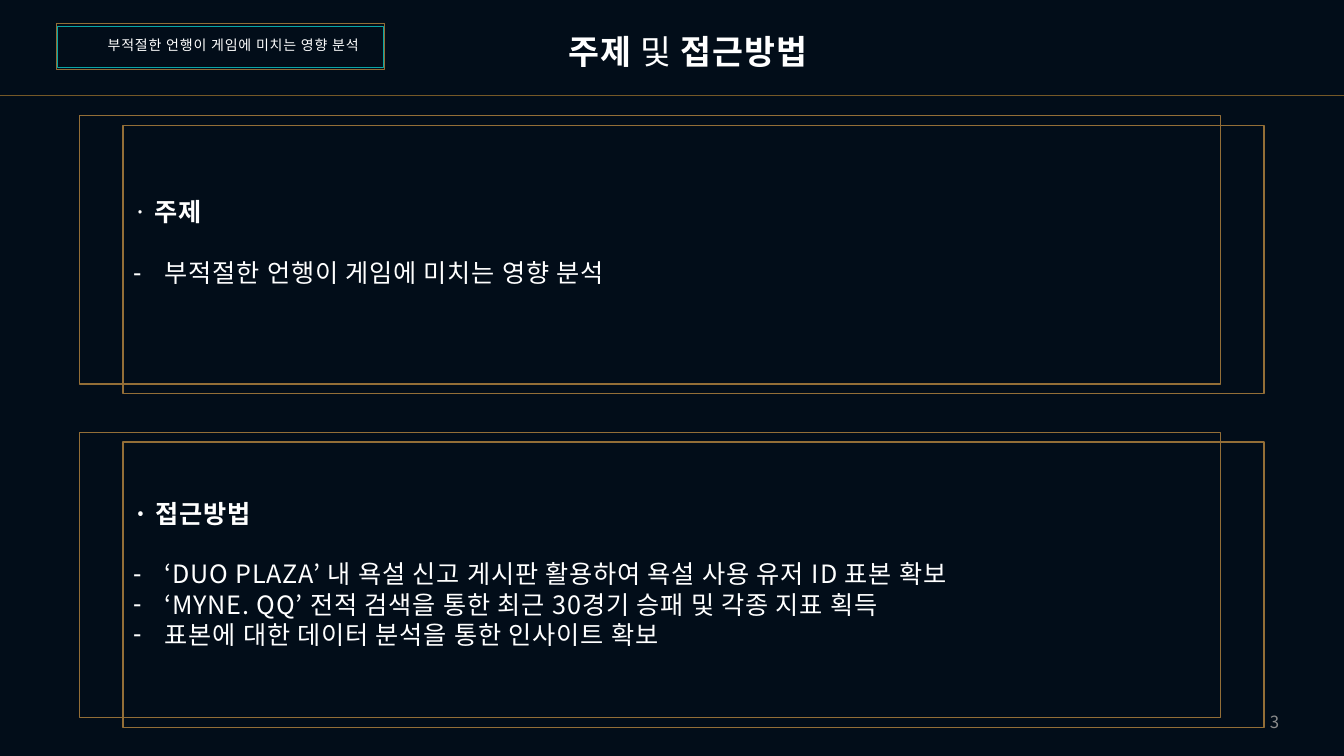
from dataclasses import dataclass

from lxml.etree import SubElement
from pptx import Presentation
from pptx.dml.color import RGBColor
from pptx.enum.shapes import MSO_CONNECTOR, MSO_SHAPE
from pptx.enum.text import MSO_ANCHOR, MSO_AUTO_SIZE, PP_ALIGN
from pptx.oxml.ns import qn
from pptx.util import Pt


@dataclass(frozen=True)
class Theme:
    font: str = "Noto Sans CJK KR"
    background: str = "020D19"
    text: str = "FFFFFF"
    muted: str = "8C8C8C"
    gold: str = "936E37"
    rule: str = "755827"
    teal: str = "09A6A5"
    title: int = 24
    body: int = 18
    page: int = 12
    tag: int = 10
    tracking: int = 60  # hundredths of a point


T = Theme()
TOPIC = "부적절한 언행이 게임에 미치는 영향 분석"


def rgb(value):
    return RGBColor.from_string(value)


def place(sp, x, y, w, h):
    sp.left, sp.top, sp.width, sp.height = Pt(x), Pt(y), Pt(w), Pt(h)


def add_runs(p, runs, size, color=T.text, tracking=T.tracking):
    """Add (text, bold) runs to a paragraph."""
    for text, bold in runs:
        r = p.add_run()
        r.text = text
        r.font.size, r.font.bold = Pt(size), bold
        r.font.color.rgb = rgb(color)
        r.font.name = T.font
        rPr = r.font._element
        SubElement(rPr, qn("a:ea")).set("typeface", T.font)
        if tracking:
            rPr.set("spc", str(tracking))


def add_frame(s, x, y, w, h, color, weight):
    sp = s.shapes.add_shape(MSO_SHAPE.RECTANGLE, Pt(x), Pt(y), Pt(w), Pt(h))
    sp.shadow.inherit = False
    sp.fill.background()
    sp.line.color.rgb = rgb(color)
    sp.line.width = Pt(weight)


def add_label(s, x, y, w, h, text, size, align, anchor, **style):
    tf = s.shapes.add_textbox(Pt(x), Pt(y), Pt(w), Pt(h)).text_frame
    tf.word_wrap, tf.vertical_anchor = True, anchor
    p = tf.paragraphs[0]
    p.alignment = align
    add_runs(p, [(text, False)], size, **style)


def add_tag(s, x, y, w, h):
    """Double-framed topic tag."""
    add_frame(s, x, y, w, h, T.gold, 0.25)
    add_frame(s, x + 0.7, y + 2.1, w - 0.7, h - 3.6, T.teal, 0.75)
    add_label(s, x + 18.7, y + 5.7, w - 18.7, 19.4, TOPIC, T.tag,
              PP_ALIGN.CENTER, MSO_ANCHOR.TOP)


def add_header(s, width, height):
    # Rule under the header
    rule = s.shapes.add_connector(MSO_CONNECTOR.STRAIGHT, 0, Pt(height), Pt(width), Pt(height))
    rule.line.color.rgb = rgb(T.rule)
    rule.line.width = Pt(0.5)
    SubElement(rule._element.spPr, qn("a:effectLst"))

    # Title
    title = s.shapes.title
    place(title, 383.8, 18.7, 215.3, 36.4)
    tf = title.text_frame
    tf.auto_size, tf.vertical_anchor = MSO_AUTO_SIZE.NONE, MSO_ANCHOR.TOP
    p = tf.paragraphs[0]
    p.alignment = PP_ALIGN.CENTER
    add_runs(p, [("주제", True), (" 및 ", False), ("접근방법", True)], T.title)

    add_tag(s, 40.3, 16.6, 234, 33.1)


def set_bullet(p, char=None, indent=0):
    pPr = p._p.get_or_add_pPr()
    pPr.set("marL", str(Pt(indent)))
    pPr.set("indent", str(-Pt(indent)))
    if char:
        SubElement(pPr, qn("a:buChar")).set("char", char)
    else:
        SubElement(pPr, qn("a:buNone"))


def add_panel(s, body, x, y, w, h, list_top, heading, items):
    """Two offset frames with a heading and a dashed list."""
    shift_x, shift_y = 31, 6.9
    for step in range(2):
        add_frame(s, x + step * shift_x, y + step * shift_y, w, h, T.gold, 1)

    place(body, x + shift_x, y + list_top, w, h - list_top)
    tf = body.text_frame
    tf.auto_size, tf.vertical_anchor = MSO_AUTO_SIZE.NONE, MSO_ANCHOR.TOP
    p = tf.paragraphs[0]
    p.space_before, p.space_after = Pt(0), Pt(21.7)
    set_bullet(p)
    add_runs(p, heading, T.body)
    for item in items:
        p = tf.add_paragraph()
        p.space_before = Pt(0)
        set_bullet(p, "-", 22.5)
        add_runs(p, [(item, False)], T.body)


def build_topic_slide(prs):
    s = prs.slides.add_slide(prs.slide_layouts[3])
    s.background.fill.solid()
    s.background.fill.fore_color.rgb = rgb(T.background)

    add_header(s, 960, 68.4)
    add_panel(s, s.placeholders[1], 56.9, 82.6, 815, 191.7, 54.2,
              [("· ", False), ("주제", True)], [TOPIC])
    add_panel(s, s.placeholders[2], 56.9, 308.9, 815, 203.8, 43.2,
              [("· 접근방법", True)],
              ["‘DUO PLAZA’ 내 욕설 신고 게시판 활용하여 욕설 사용 유저 ID 표본 확보",
               "‘MYNE. QQ’ 전적 검색을 통한 최근 30경기 승패 및 각종 지표 획득",
               "표본에 대한 데이터 분석을 통한 인사이트 확보"])

    # Page number
    add_label(s, 704.9, 501.1, 216, 28.8, "3", T.page, PP_ALIGN.RIGHT,
              MSO_ANCHOR.MIDDLE, color=T.muted, tracking=0)


def main():
    prs = Presentation()
    prs.slide_width, prs.slide_height = Pt(960), Pt(540)
    build_topic_slide(prs)
    prs.save("out.pptx")


if __name__ == "__main__":
    main()
